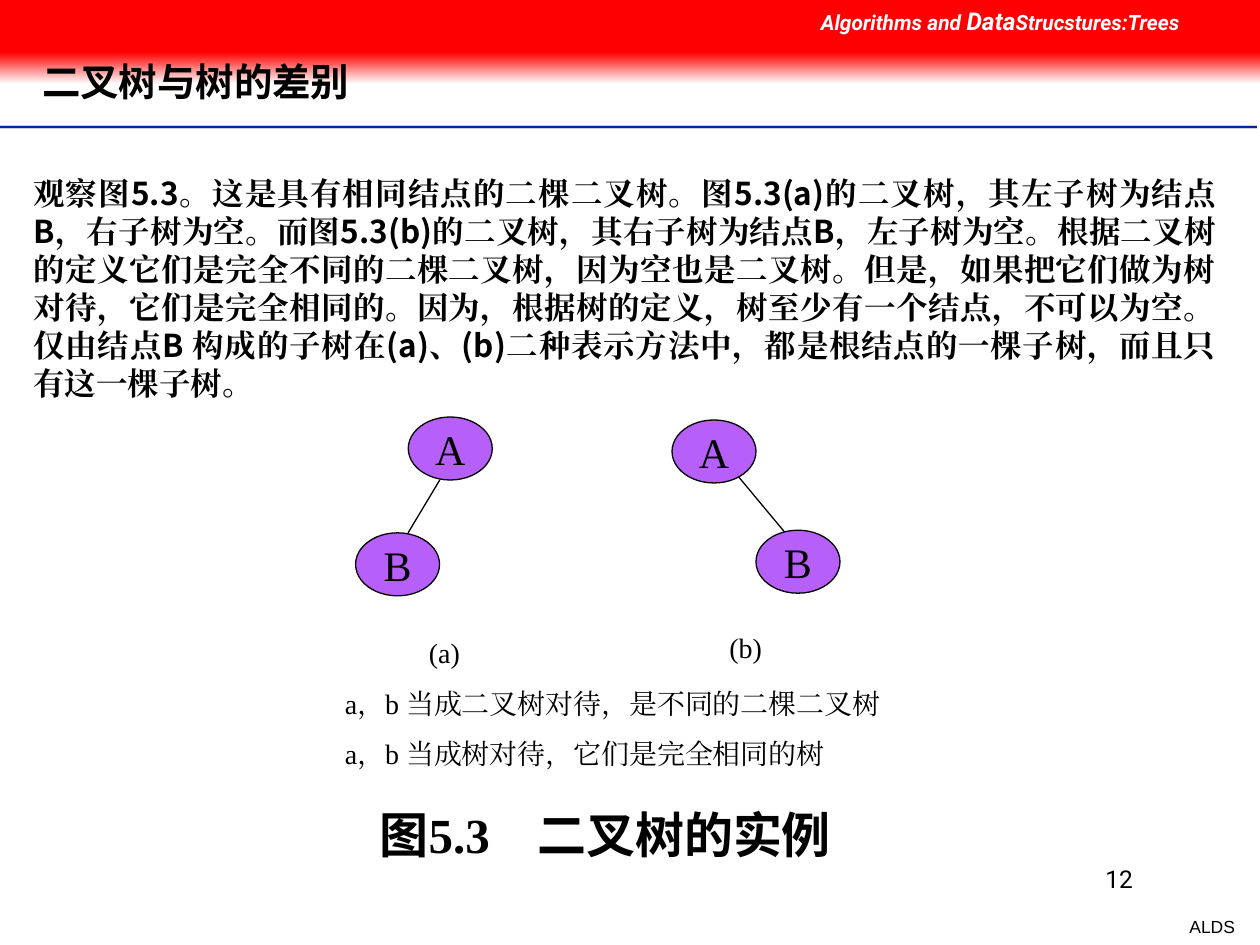
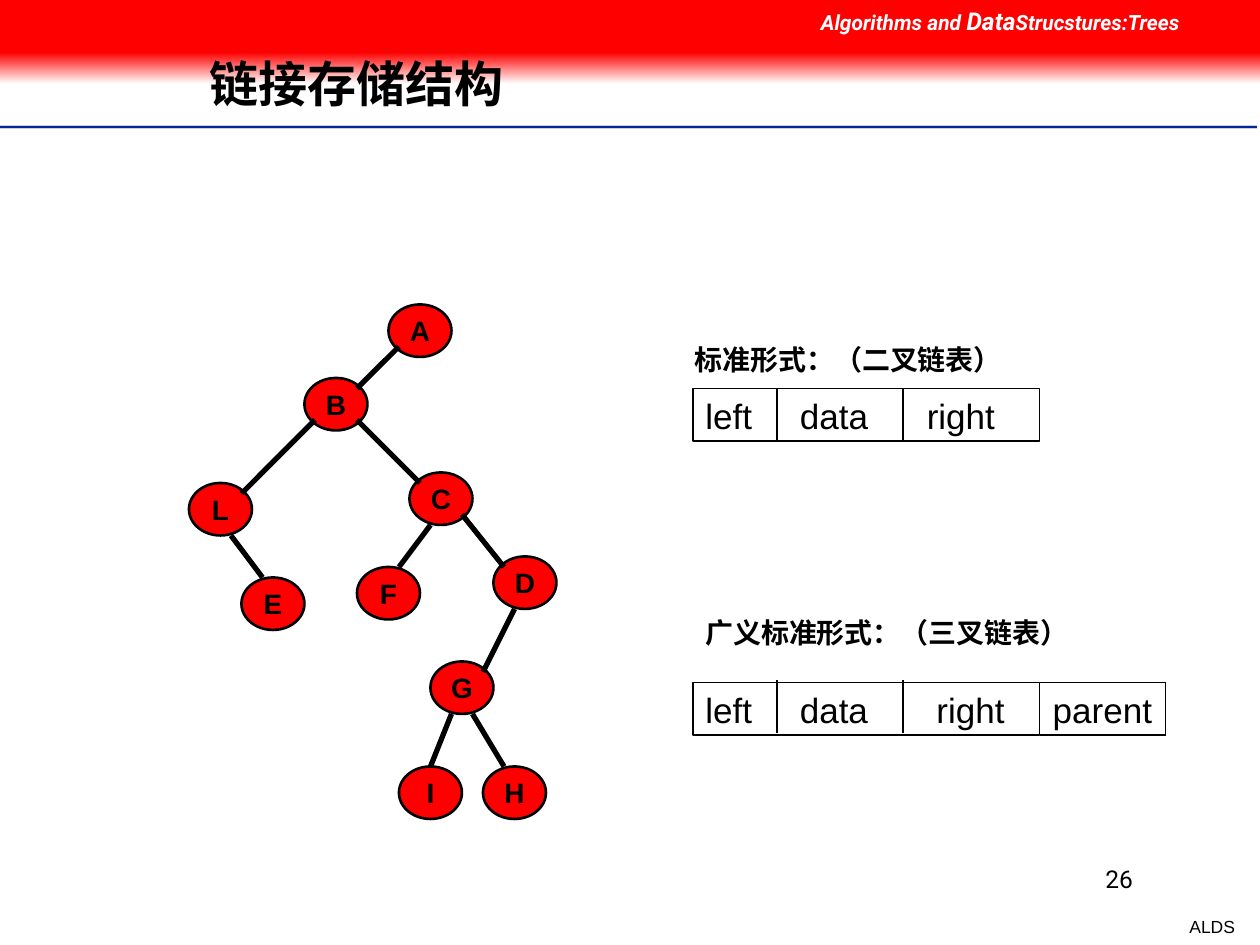
from dataclasses import dataclass
from typing import Optional

import lxml.etree
import pptx
import pptx.dml.color
import pptx.enum.shapes
import pptx.enum.text
import pptx.oxml.ns
import pptx.util

Pt = pptx.util.Pt
qn = pptx.oxml.ns.qn
Align = pptx.enum.text.PP_ALIGN
Anchor = pptx.enum.text.MSO_ANCHOR
Preset = pptx.enum.shapes.MSO_SHAPE

BLACK, WHITE, RED = "000000", "FFFFFF", "FF0000"
RULE_BLUE, RULE_GREY, VIOLET = "00279F", "CECECE", "B760F9"
SANS, SERIF, CJK, ROBOTO = "Arial", "Times New Roman", "Noto Sans CJK SC", "Roboto"
WIDTH, HEIGHT = 720, 540


@dataclass(frozen=True)
class Style:
    font: str
    size: float
    bold: bool = False
    italic: bool = False
    color: str = BLACK


@dataclass(frozen=True)
class Span:
    text: str
    style: Style


@dataclass(frozen=True)
class Box:
    left: float
    top: float
    width: float
    height: float


@dataclass(frozen=True)
class NodeStyle:
    width: float
    height: float
    fill: str
    outline: float
    label: Style


@dataclass(frozen=True)
class Edge:
    """Joins two nodes; leave and reach are offsets from their top left corners."""
    parent: str
    child: str
    leave: tuple[float, float]
    reach: tuple[float, float]


@dataclass(frozen=True)
class Record:
    """A linked-list node layout: frame, field names and their tab stops."""
    top: float
    width: float
    fields: str
    tabs: tuple[float, ...]
    divider_shift: float = 0


# Basic helpers

def rgb(value: str) -> pptx.dml.color.RGBColor:
    return pptx.dml.color.RGBColor.from_string(value)


def format_run(run, style: Style) -> None:
    font = run.font
    font.name, font.size = style.font, Pt(style.size)
    font.bold, font.italic = style.bold, style.italic
    font.color.rgb = rgb(style.color)
    east_asian = lxml.etree.Element(qn("a:ea"), typeface=style.font)
    run._r.get_or_add_rPr().find(qn("a:latin")).addnext(east_asian)


def fill_paragraph(paragraph, spans: list[Span], align=Align.LEFT) -> None:
    paragraph.alignment = align
    for span in spans:
        run = paragraph.add_run()
        run.text = span.text
        format_run(run, span.style)


def set_tabs(paragraph, stops: tuple[float, ...]) -> None:
    tab_list = lxml.etree.SubElement(paragraph._p.get_or_add_pPr(), qn("a:tabLst"))
    for stop in stops:
        lxml.etree.SubElement(tab_list, qn("a:tab"), pos=str(int(Pt(stop))), algn="l")


def add_text(slide, box: Box, spans: list[Span], align=Align.LEFT, wrap: bool = True):
    frame = slide.shapes.add_textbox(
        Pt(box.left), Pt(box.top), Pt(box.width), Pt(box.height)).text_frame
    frame.word_wrap = wrap
    fill_paragraph(frame.paragraphs[0], spans, align)
    return frame


def add_preset(slide, preset, box: Box, fill: Optional[str], outline: float = 0):
    shape = slide.shapes.add_shape(
        preset, Pt(box.left), Pt(box.top), Pt(box.width), Pt(box.height))
    shape.shadow.inherit = False
    if fill:
        shape.fill.solid()
        shape.fill.fore_color.rgb = rgb(fill)
    if outline:
        shape.line.color.rgb = rgb(BLACK)
        shape.line.width = Pt(outline)
    else:
        shape.line.fill.background()
    return shape


def add_line(slide, start: tuple[float, float], end: tuple[float, float],
             width: float = 0.75, color: str = BLACK) -> None:
    line = slide.shapes.add_connector(
        pptx.enum.shapes.MSO_CONNECTOR.STRAIGHT,
        Pt(start[0]), Pt(start[1]), Pt(end[0]), Pt(end[1]))
    line.line.color.rgb = rgb(color)
    line.line.width = Pt(width)
    lxml.etree.SubElement(line._element.spPr, qn("a:effectLst"))


# Shared page: title, rules, footer and header band

def add_page(deck, title: str, title_box: Box, title_size: float,
             number: str, inset: tuple[float, float]):
    slide = deck.slides.add_slide(deck.slide_layouts[5])

    heading = slide.shapes.title
    heading.left, heading.top = Pt(title_box.left), Pt(title_box.top)
    heading.width, heading.height = Pt(title_box.width), Pt(title_box.height)
    frame = heading.text_frame
    frame.auto_size = pptx.enum.text.MSO_AUTO_SIZE.NONE
    frame.vertical_anchor = Anchor.MIDDLE
    frame.margin_left = frame.margin_right = Pt(inset[0])
    frame.margin_top = frame.margin_bottom = Pt(inset[1])
    frame.paragraphs[0].line_spacing = 0.9
    fill_paragraph(frame.paragraphs[0], [Span(title, Style(CJK, title_size, bold=True))])

    for y, width, color in ((72.7, 2, RULE_GREY), (72.7, 1, RULE_BLUE), (74.2, 1, WHITE)):
        add_line(slide, (0, y), (718.5, y), width, color)

    add_text(slide, Box(672.5, 519.8, 40.3, 19.4),
             [Span("ALDS", Style(SANS, 10))], Align.RIGHT, wrap=False)
    add_text(slide, Box(516, 490.3, 138.5, 36), [Span(number, Style(ROBOTO, 14))], Align.RIGHT)

    fade = add_preset(slide, Preset.RECTANGLE, Box(0, 30, WIDTH, 18), None)
    fade.fill.gradient()
    fade.fill.gradient_angle = 270
    for stop, color in zip(fade.fill.gradient_stops, (RED, WHITE)):
        stop.color.rgb = rgb(color)
    add_preset(slide, Preset.RECTANGLE, Box(0, 0, WIDTH, 30), RED)
    small, large = (Style(ROBOTO, size, True, True, WHITE) for size in (12, 14))
    add_text(slide, Box(462, 0, 258, 24.5),
             [Span("Algorithms and ", small), Span("Data", large),
              Span("Strucstures:Trees", small)])
    # the heading overlaps the faded band, so it goes in front
    slide.shapes._spTree.append(heading._element)
    return slide


# Trees and records

Nodes = dict[str, tuple[float, float]]


def draw_nodes(slide, nodes: Nodes, style: NodeStyle) -> None:
    for label, (left, top) in nodes.items():
        node = add_preset(slide, Preset.OVAL, Box(left, top, style.width, style.height),
                          style.fill, style.outline)
        node.text_frame.word_wrap = False
        node.text_frame.vertical_anchor = Anchor.MIDDLE
        fill_paragraph(node.text_frame.paragraphs[0],
                       [Span(label, style.label)], Align.CENTER)


def draw_edges(slide, nodes: Nodes, edges: list[Edge], width: float) -> None:
    for edge in edges:
        (px, py), (cx, cy) = nodes[edge.parent], nodes[edge.child]
        add_line(slide, (px + edge.leave[0], py + edge.leave[1]),
                 (cx + edge.reach[0], cy + edge.reach[1]), width)


def draw_record(slide, record: Record) -> None:
    left, height = 396, 30
    add_preset(slide, Preset.RECTANGLE, Box(left, record.top, 198, height), WHITE, 0.75)
    fields = add_text(slide, Box(left, record.top, record.width, 31.7),
                      [Span(record.fields, Style(SANS, 20))])
    set_tabs(fields.paragraphs[0], record.tabs)
    divider_top = record.top + record.divider_shift
    for x in (444, 516):
        add_line(slide, (x, divider_top), (x, divider_top + height))


# Slide: how binary trees differ from trees

def build_difference_slide(deck) -> None:
    slide = add_page(deck, "二叉树与树的差别", Box(24, 18, 666, 60), 22, "12", (0, 0))

    node_style = NodeStyle(48, 36, VIOLET, 0.75, Style(SERIF, 24))
    trees = (
        ({"A": (233.3, 238.3), "B": (203.2, 304.5)}, Edge("A", "B", (18, 36), (30, 0))),
        ({"A": (384, 240), "B": (432, 303)}, Edge("A", "B", (36, 30), (18, 3))),
    )
    for nodes, edge in trees:
        draw_edges(slide, nodes, [edge], 0.75)
        draw_nodes(slide, nodes, node_style)

    # Captions below the trees
    note = Style(SERIF, 16)
    notes = add_text(slide, Box(190, 359.5, 520, 85), [Span("(a)", note)])
    notes.paragraphs[0]._p.get_or_add_pPr().set("marL", str(int(Pt(48))))
    for text in ("a，b 当成二叉树对待，是不同的二棵二叉树", "a，b 当成树对待，它们是完全相同的树"):
        paragraph = notes.add_paragraph()
        paragraph.space_before = Pt(10)
        paragraph.line_spacing = Pt(19)
        fill_paragraph(paragraph, [Span(text, note)])
    add_text(slide, Box(409.7, 357, 112, 46), [Span("(b)", note)])

    caption_cjk, caption_latin = Style(CJK, 28, True), Style(SERIF, 28, True)
    caption = add_text(slide, Box(210, 456, 324, 41),
                       [Span("图", caption_cjk), Span("5.3\t", caption_latin),
                        Span("二叉树的实例", caption_cjk)])
    set_tabs(caption.paragraphs[0], (90,))

    # Explanation: Chinese and Latin pieces alternate
    pieces = (
        "观察图", "5.3", "。这是具有相同结点的二棵二叉树。图", "5.3(a)",
        "的二叉树，其左子树为结点", "B", "，右子树为空。而图", "5.3(b)",
        "的二叉树，其右子树为结点", "B",
        "，左子树为空。根据二叉树的定义它们是完全不同的二棵二叉树，因为空也是二叉树。"
        "但是，如果把它们做为树对待，它们是完全相同的。因为，根据树的定义，"
        "树至少有一个结点，不可以为空。仅由结点", "B ", "构成的子树在", "(a)", "、", "(b)",
        "二种表示方法中，都是根结点的一棵子树，而且只有这一棵子树。",
    )
    styles = (Style(SERIF, 18, True), Style(CJK, 18, True))
    explanation = add_text(
        slide, Box(12, 96, 690, 170),
        [Span(text, styles[i % 2]) for i, text in enumerate(pieces)], Align.JUSTIFY)
    explanation.paragraphs[0].line_spacing = Pt(21.7)


# Slide: linked storage

def build_storage_slide(deck) -> None:
    slide = add_page(deck, "链接存储结构", Box(112.5, 23, 543.5, 53.5), 28, "26", (7.2, 3.6))

    nodes = {
        "A": (222, 174), "B": (174, 216), "C": (234, 270), "D": (282, 318),
        "E": (138, 330), "F": (204, 324), "G": (246, 378), "H": (276, 438),
        "I": (228, 438), "L": (108, 276),
    }
    edges = [
        Edge("A", "B", (6, 24), (30, 6)),
        Edge("B", "L", (6, 24), (30, 6)),
        Edge("B", "C", (30, 24), (6, 6)),
        Edge("C", "D", (30, 24), (6, 6)),
        Edge("C", "F", (12, 30), (24, 0)),
        Edge("L", "E", (24, 30), (12, 0)),
        Edge("D", "G", (12, 30), (30, 6)),
        Edge("G", "I", (12, 30), (18, 0)),
        Edge("G", "H", (24, 30), (12, 0)),
    ]
    draw_nodes(slide, nodes, NodeStyle(36, 30, RED, 1.5, Style(SANS, 16, True)))
    draw_edges(slide, nodes, edges, 3)

    # Node layouts with their headings
    form = Style(SANS, 16, True)
    add_text(slide, Box(390, 192, 210, 26.5), [Span("标准形式：（二叉链表）", form)])
    add_text(slide, Box(396, 348, 234, 26.5), [Span("广义标准形式：（三叉链表）", form)])
    draw_record(slide, Record(222, 264, "left\tdata\tright", (54, 126.5)))
    draw_record(slide, Record(390, 324, "left\tdata\tright\tparent", (54, 132, 198.5), -1.4))

    # Open compartment for the parent link
    add_line(slide, (666, 390), (666, 420))
    for y in (390, 420):
        add_line(slide, (594, y), (666, y))


def main() -> None:
    deck = pptx.Presentation()
    deck.slide_width, deck.slide_height = Pt(WIDTH), Pt(HEIGHT)
    build_difference_slide(deck)
    build_storage_slide(deck)
    deck.save("out.pptx")


if __name__ == "__main__":
    main()
